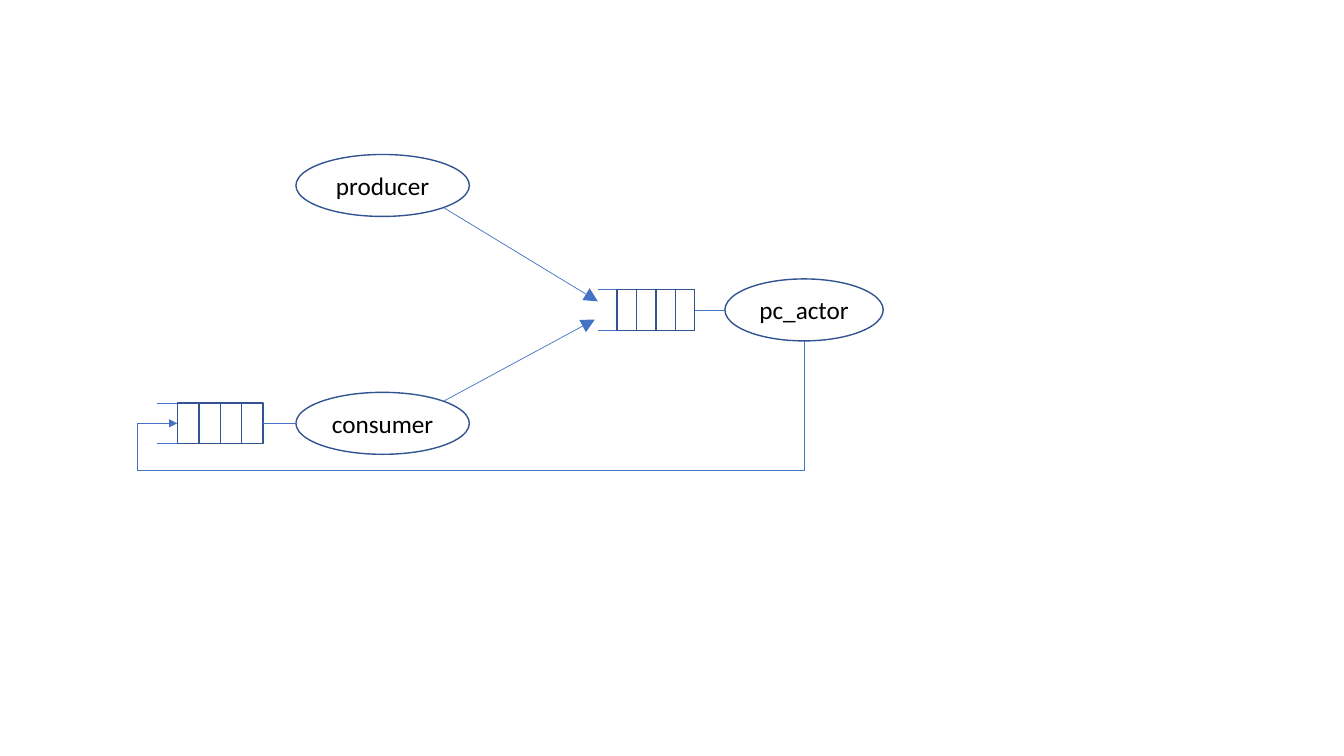
"""Draw the message queues between producer, consumer and pc_actor."""
import dataclasses
import typing

import pptx
import pptx.dml.color
import pptx.enum.shapes
import pptx.enum.text
import pptx.oxml.ns
import pptx.oxml.xmlchemy
import pptx.util

COLUMNS, ROWS = 133.3, 75
OUTLINE, WIRE = "325491", "4472C4"
ACTOR_HEIGHT, QUEUE_HEIGHT, SLOTS = 6.15, 4.05, 4


@dataclasses.dataclass(frozen=True)
class Actor:
    """A named oval, placed by its left column and middle row."""
    label: str
    left: float
    middle: float
    width: float


@dataclasses.dataclass(frozen=True)
class Queue:
    """A row of slots whose open mouth faces left."""
    mouth: float
    left: float
    right: float


@dataclasses.dataclass(frozen=True)
class Route:
    """A wire in grid columns and rows, with an optional arrowhead."""
    start: tuple[float, float]
    finish: tuple[float, float]
    arrow_end: str = ""
    arrow_size: str = "med"
    bent: bool = False


PRODUCER = Actor("producer", 29.35, 18.4, 17.2)
QUEUED_ACTORS = [
    (Actor("pc_actor", 71.9, 30.75, 15.7), Queue(59.3, 61.2, 68.9)),
    (Actor("consumer", 29.35, 42, 17.2), Queue(15.6, 17.6, 26.1)),
]
MESSAGES = [
    Route((44, 20.6), (59.3, 29.9), "tailEnd", "lg"),
    Route((44, 39.8), (59, 31.7), "tailEnd", "lg"),
    Route((17.6, 42), (13.6, 46.7), "headEnd", bent=True),
    Route((13.6, 46.7), (79.75, 33.83), bent=True),
]


def grid(units: float) -> int:
    """Turn grid units of a tenth of an inch into a length."""
    return pptx.util.Inches(units / 10)


def rgb(value: str) -> pptx.dml.color.RGBColor:
    """Turn a hex string into a colour."""
    return pptx.dml.color.RGBColor.from_string(value)


def draw_outline(shapes: typing.Any, kind: typing.Any, left: float, top: float,
                 width: float, height: float) -> typing.Any:
    """Draw an unfilled outlined shape."""
    outline = shapes.add_shape(kind, grid(left), grid(top), grid(width), grid(height))
    outline.shadow.inherit = False
    outline.fill.background()
    outline.line.color.rgb = rgb(OUTLINE)
    outline.line.width = pptx.util.Pt(1)
    return outline


def draw_route(shapes: typing.Any, route: Route) -> None:
    """Draw a straight wire, or one with a single right-angled bend."""
    kinds = pptx.enum.shapes.MSO_CONNECTOR
    wire = shapes.add_connector(kinds.ELBOW if route.bent else kinds.STRAIGHT,
                                *map(grid, route.start + route.finish))
    wire.line.color.rgb = rgb(WIRE)
    wire.line.width = pptx.util.Pt(0.5)
    properties = wire._element.spPr
    if route.bent:
        properties.find(pptx.oxml.ns.qn("a:prstGeom")).set("prst", "bentConnector2")
    if route.arrow_end:
        arrow = pptx.oxml.xmlchemy.OxmlElement(f"a:{route.arrow_end}")
        arrow.set("type", "triangle")
        arrow.set("w", route.arrow_size)
        arrow.set("len", route.arrow_size)
        properties.find(pptx.oxml.ns.qn("a:ln")).append(arrow)
    properties.append(pptx.oxml.xmlchemy.OxmlElement("a:effectLst"))


def draw_actor(shapes: typing.Any, actor: Actor) -> None:
    """Draw an oval with its centred name."""
    oval = draw_outline(shapes, pptx.enum.shapes.MSO_SHAPE.OVAL, actor.left,
                        actor.middle - ACTOR_HEIGHT / 2, actor.width, ACTOR_HEIGHT)
    frame = oval.text_frame
    frame.text = actor.label
    frame.vertical_anchor = pptx.enum.text.MSO_ANCHOR.MIDDLE
    paragraph = frame.paragraphs[0]
    paragraph.alignment = pptx.enum.text.PP_ALIGN.CENTER
    font = paragraph.runs[0].font
    font.name, font.size = "Calibri", pptx.util.Pt(18)
    font.color.rgb = rgb("000000")


def draw_queued_actor(shapes: typing.Any, actor: Actor, queue: Queue) -> None:
    """Draw an actor grouped with the queue that feeds it."""
    members = shapes.add_group_shape().shapes
    top = actor.middle - QUEUE_HEIGHT / 2
    for edge in (top, top + QUEUE_HEIGHT):
        draw_route(members, Route((queue.mouth, edge), (queue.right, edge)))
    slot_width = (queue.right - queue.left) / SLOTS
    for slot in reversed(range(SLOTS)):
        draw_outline(members, pptx.enum.shapes.MSO_SHAPE.RECTANGLE,
                     queue.left + slot * slot_width, top, slot_width, QUEUE_HEIGHT)
    draw_actor(members, actor)
    draw_route(members, Route((queue.right, actor.middle), (actor.left, actor.middle)))


def main() -> None:
    """Build and save the slide."""
    deck = pptx.Presentation()
    deck.slide_width, deck.slide_height = grid(COLUMNS), grid(ROWS)
    shapes = deck.slides.add_slide(deck.slide_layouts[6]).shapes
    draw_actor(shapes, PRODUCER)
    for actor, queue in QUEUED_ACTORS:
        draw_queued_actor(shapes, actor, queue)
    for message in MESSAGES:
        draw_route(shapes, message)
    deck.save("out.pptx")


if __name__ == "__main__":
    main()
